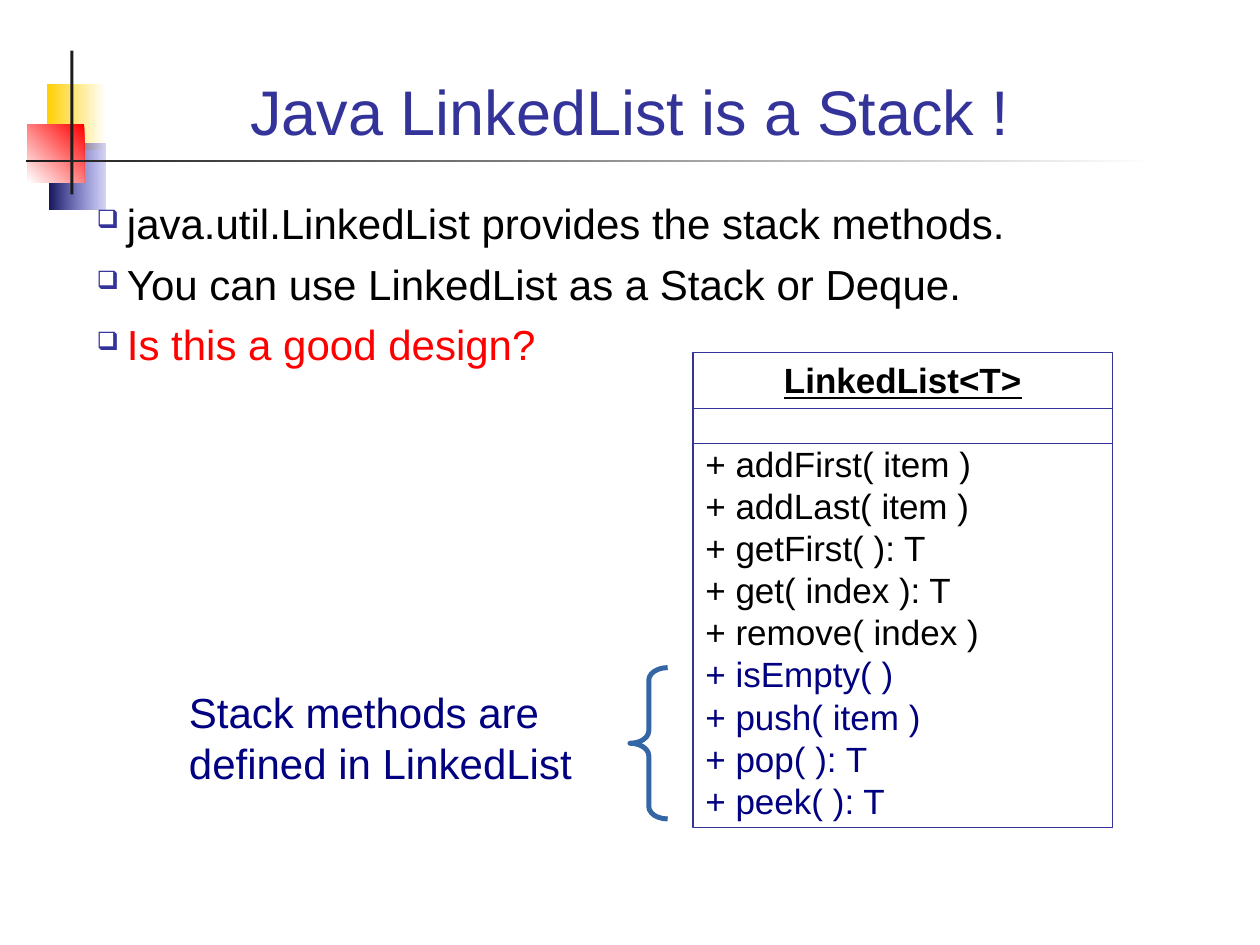
from pptx import Presentation
from pptx.dml.color import RGBColor
from pptx.enum.shapes import MSO_CONNECTOR, MSO_SHAPE
from pptx.enum.text import MSO_ANCHOR, PP_ALIGN
from pptx.oxml.ns import qn
from pptx.util import Cm, Pt
from lxml import etree

RECT, BRACE = MSO_SHAPE.RECTANGLE, MSO_SHAPE.LEFT_BRACE
LINE = MSO_CONNECTOR.STRAIGHT
TOP, BOTTOM = MSO_ANCHOR.TOP, MSO_ANCHOR.BOTTOM
LEFT, CENTER = PP_ALIGN.LEFT, PP_ALIGN.CENTER

BLUE, NAVY, RED = "333399", "000080", "FF0000"
BLACK, DARK, WHITE = "000000", "1C1C1C", "FFFFFF"
STEEL = "3465A4"


def color(code):
    return RGBColor.from_string(code)


class Deck:
    """Holds the style and the current slide."""
    face = "Arial"
    lead = 1.2  # line pitch as a multiple of the text size

    def __init__(self, wide, high):
        self.prs = Presentation()
        self.prs.slide_width, self.prs.slide_height = Cm(wide), Cm(high)
        self.slide = self.prs.slides.add_slide(self.prs.slide_layouts[5])

    def style(self, para, size, ink, align=LEFT):
        para.alignment = align
        font = para.font
        font.name, font.size, font.color.rgb = self.face, Pt(size), color(ink)

    def title(self, text, box, size, ink):
        shape = self.slide.shapes.title
        shape.left, shape.top, shape.width, shape.height = map(Cm, box)
        frame = shape.text_frame
        frame.text, frame.vertical_anchor = text, BOTTOM
        self.style(frame.paragraphs[0], size, ink, CENTER)

    def shape(self, kind, box, fill=None, line=None, width=0.75):
        shape = self.slide.shapes.add_shape(kind, *map(Cm, box))
        shape.shadow.inherit = False
        if fill:
            shape.fill.solid()
            shape.fill.fore_color.rgb = color(fill)
        else:
            shape.fill.background()
        if line:
            shape.line.color.rgb, shape.line.width = color(line), Pt(width)
        else:
            shape.line.fill.background()
        return shape

    def fade(self, box, start, end, angle=0, alpha=None):
        shape = self.shape(RECT, box)
        shape.fill.gradient()
        shape.fill.gradient_angle = angle
        for stop, code in zip(shape.fill.gradient_stops, (start, end)):
            stop.color.rgb = color(code)
        if alpha:
            last = list(shape._element.spPr.iter(qn("a:srgbClr")))[-1]
            etree.SubElement(last, qn("a:alpha"), val=str(alpha * 1000))

    def line(self, left, right, y, ink):
        line = self.slide.shapes.add_connector(
            LINE, Cm(left), Cm(y), Cm(right), Cm(y))
        line.line.color.rgb, line.line.width = color(ink), Pt(0.75)
        etree.SubElement(line._element.spPr, qn("a:effectLst"))

    def bullet(self, para, mark, ink, share, indent):
        props = para._p.get_or_add_pPr()
        props.set("marL", str(Cm(indent)))
        props.set("indent", str(-Cm(indent)))
        tint = etree.SubElement(props, qn("a:buClr"))
        etree.SubElement(tint, qn("a:srgbClr"), val=ink)
        etree.SubElement(props, qn("a:buSzPct"), val=str(share * 1000))
        etree.SubElement(props, qn("a:buChar"), char=mark)

    def fill_text(self, shape, rows, size, mark=None, gap=0):
        """Fill a shape with rows of (text, ink)."""
        frame = shape.text_frame
        frame.word_wrap, frame.vertical_anchor = True, TOP
        for i, (text, ink) in enumerate(rows):
            para = frame.paragraphs[0] if i == 0 else frame.add_paragraph()
            para.text = text
            para.line_spacing = Pt(size * self.lead)
            if i and gap:
                para.space_before = Pt(gap)
            if mark:
                self.bullet(para, mark, BLUE, 60, 0.61)
            self.style(para, size, ink)
        return frame.paragraphs

    def text(self, box, rows, size, mark=None, gap=0):
        shape = self.slide.shapes.add_textbox(*map(Cm, box))
        return self.fill_text(shape, rows, size, mark, gap)


def main():
    deck = Deck(25.4, 19.05)

    # Corner ornament
    deck.fade((0.94, 1.7, 1.19, 1.32), "FFCF01", WHITE)
    deck.fade((0.99, 2.9, 1.14, 1.32), "17175E", "3333CC", alpha=20)
    deck.fade((0.56, 2.51, 1.14, 1.17), RED, WHITE, angle=225)
    deck.shape(RECT, (1.42, 1.02, 0.06, 2.9), DARK)
    deck.fade((0.53, 3.22, 22.81, 0.05), DARK, WHITE)

    # Title and bullets
    deck.title("Java LinkedList is a Stack !", (1.7, 0.71, 22, 2.41), 36, BLUE)
    points = [
        ("java.util.LinkedList provides the stack methods.", BLACK),
        ("You can use LinkedList as a Stack or Deque.", BLACK),
        ("Is this a good design?", RED),
    ]
    deck.text((1.7, 3.85, 22, 6.15), points, 24, mark="❑", gap=6)

    # Class diagram
    left, wide = 13.97, 8.46
    base = ["addFirst( item )", "addLast( item )", "getFirst( ): T",
            "get( index ): T", "remove( index )"]
    stack = ["isEmpty( )", "push( item )", "pop( ): T", "peek( ): T"]
    rows = [("LinkedList<T>", BLACK)]
    rows += [("+ " + name, BLACK) for name in base]
    rows += [("+ " + name, NAVY) for name in stack]
    card = deck.shape(RECT, (left, 7.11, wide, 9.58), line=BLUE)
    head, first = deck.fill_text(card, rows, 20)[:2]
    head.alignment = CENTER
    head.font.bold = head.font.underline = True
    first.space_before = Pt(24)  # room for the empty field section
    for y in (8.23, 8.94):
        deck.line(left, left + wide, y, BLUE)

    # Brace and note on the stack methods
    brace = deck.shape(BRACE, (12.7, 13.46, 0.76, 3.05), line=STEEL, width=2.83)
    brace.adjustments[0] = 0.33
    deck.text((3.56, 13.72, 9.14, 2.29),
              [("Stack methods are defined in LinkedList", NAVY)], 24)

    deck.prs.save("out.pptx")


if __name__ == "__main__":
    main()
